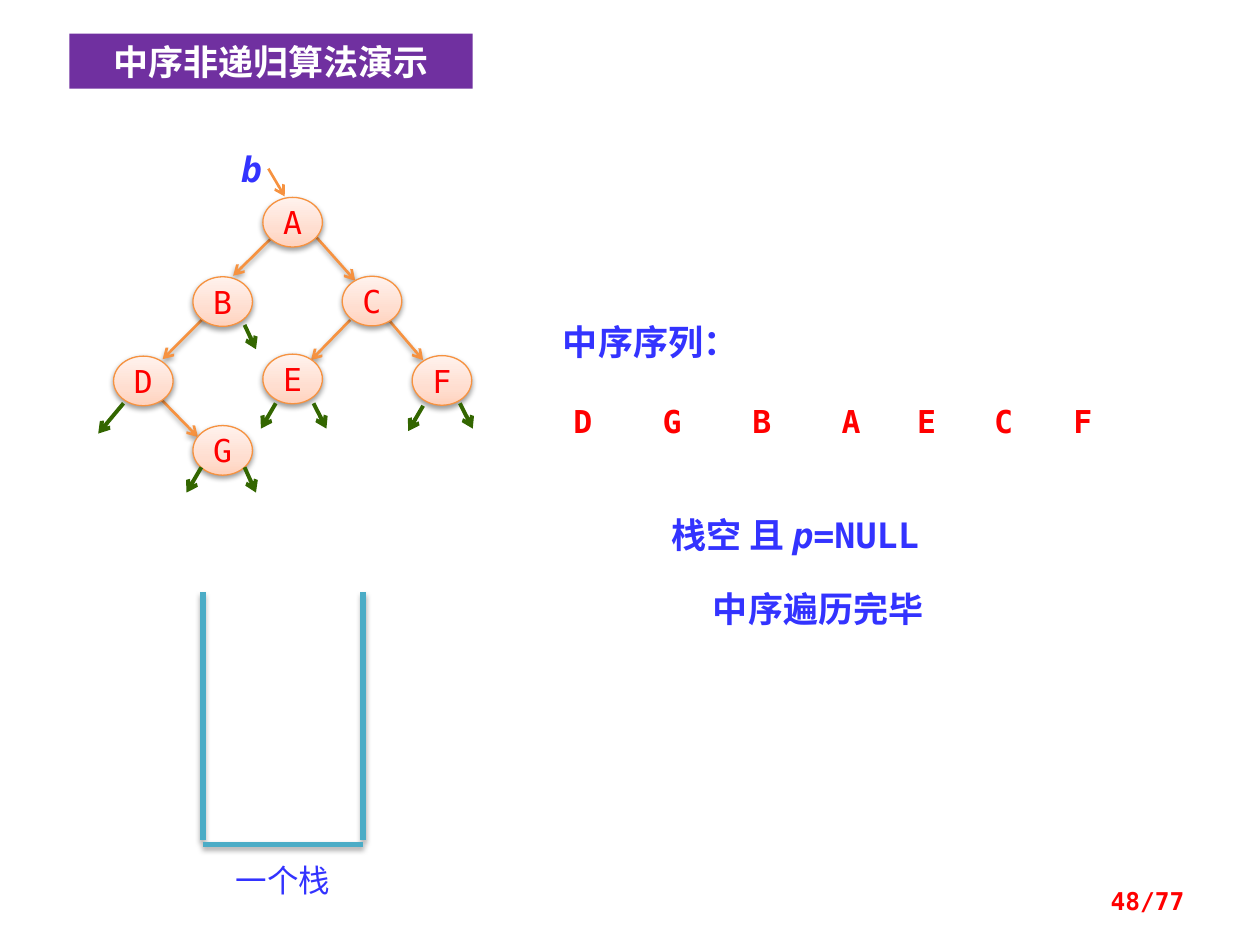
"""Builds the slide that shows the end of a non-recursive in-order traversal."""
from dataclasses import dataclass

from lxml import etree
from pptx import Presentation
from pptx.dml.color import RGBColor
from pptx.enum.shapes import MSO_CONNECTOR, MSO_SHAPE
from pptx.enum.text import MSO_ANCHOR, PP_ALIGN
from pptx.oxml.ns import qn
from pptx.util import Cm, Pt

STRAIGHT = MSO_CONNECTOR.STRAIGHT
OVAL = MSO_SHAPE.OVAL
MIDDLE = MSO_ANCHOR.MIDDLE
LEFT, CENTER, RIGHT = PP_ALIGN.LEFT, PP_ALIGN.CENTER, PP_ALIGN.RIGHT
TITLE_ONLY = 5


@dataclass(frozen=True)
class Theme:
    mono: str = "DejaVu Sans Mono"
    chinese: str = "Noto Sans CJK SC"
    banner: str = "7030A0"
    white: str = "FFFFFF"
    blue: str = "3333FF"
    red: str = "FF0000"
    orange: str = "F69240"
    green: str = "336600"
    teal: str = "4BACC6"
    node_stops: tuple = ((0, "FFD2BD"), (35, "FFDED0"), (100, "FFF2ED"))
    heading: int = 20
    label: int = 18
    page_number: int = 14


class SlideBuilder:
    def __init__(self, slide, theme):
        self.slide = slide
        self.theme = theme

    def fill_text(self, shape, runs, size, color, align=LEFT, bold=False, inset=None, wrap=True):
        frame = shape.text_frame
        frame.word_wrap = wrap
        frame.vertical_anchor = MIDDLE
        if inset is not None:
            frame.margin_left = frame.margin_right = Cm(inset)
            frame.margin_top = frame.margin_bottom = Cm(inset)
        para = frame.paragraphs[0]
        para.alignment = align
        for text, italic in runs:
            span = para.add_run()
            span.text = text
            font = span.font
            font.name = self.theme.mono
            font.size = Pt(size)
            font.bold = bold
            font.italic = italic
            font.color.rgb = RGBColor.from_string(color)
            east_asian = etree.Element(qn("a:ea"), typeface=self.theme.chinese)
            span._r.rPr.find(qn("a:latin")).addnext(east_asian)

    def title(self, text, left, top, width, height):
        box = self.slide.shapes.title
        box.left, box.top, box.width, box.height = Cm(left), Cm(top), Cm(width), Cm(height)
        box.fill.solid()
        box.fill.fore_color.rgb = RGBColor.from_string(self.theme.banner)
        self.fill_text(box, [(text, False)], self.theme.heading, self.theme.white, CENTER, True)

    def text(self, runs, left, top, width, height, size, color, **style):
        box = self.slide.shapes.add_textbox(Cm(left), Cm(top), Cm(width), Cm(height))
        self.fill_text(box, runs, size, color, **style)

    def shadow(self, effects, opacity, distance):
        outer = etree.SubElement(effects, qn("a:outerShdw"), blurRad=str(Pt(3.1)),
                                 dist=str(Pt(distance)), dir="5400000", rotWithShape="0")
        black = etree.SubElement(outer, qn("a:srgbClr"), val="000000")
        etree.SubElement(black, qn("a:alpha"), val=str(opacity * 1000))

    def line(self, start, end, color, width, arrow=True, shadow=None):
        line = self.slide.shapes.add_connector(STRAIGHT, *map(Cm, start + end))
        line.line.color.rgb = RGBColor.from_string(color)
        line.line.width = Pt(width)
        properties = line._element.spPr
        if arrow:
            etree.SubElement(properties.find(qn("a:ln")), qn("a:tailEnd"), type="arrow")
        effects = etree.SubElement(properties, qn("a:effectLst"))
        if shadow:
            self.shadow(effects, *shadow)

    def node(self, letter, left, top):
        node = self.slide.shapes.add_shape(OVAL, Cm(left), Cm(top), Cm(1.2), Cm(1))
        node.fill.gradient()
        node.fill.gradient_angle = 90
        properties = node._element.spPr
        stops = properties.find(qn("a:gradFill")).find(qn("a:gsLst"))
        stops.clear()
        for position, color in self.theme.node_stops:
            stop = etree.SubElement(stops, qn("a:gs"), pos=str(position * 1000))
            etree.SubElement(stop, qn("a:srgbClr"), val=color)
        node.line.color.rgb = RGBColor.from_string(self.theme.orange)
        node.line.width = Pt(0.75)
        node.shadow.inherit = False
        self.shadow(properties.find(qn("a:effectLst")), 38, 1.6)
        self.fill_text(node, [(letter, False)], self.theme.label, self.theme.red, CENTER,
                       wrap=False)


NODES = {"A": (5.3, 3.98), "B": (3.89, 5.58), "C": (6.9, 5.57), "D": (2.29, 7.18),
         "E": (5.3, 7.14), "F": (8.31, 7.17), "G": (3.89, 8.58)}
EDGES = [((5.49, 4.78), (4.7, 5.56)), ((6.35, 4.75), (7.16, 5.66)),
         ((4.17, 6.35), (3.28, 7.24)), ((7.06, 6.45), (6.27, 7.26)),
         ((7.75, 6.35), (8.53, 7.26)), ((3.2, 8), (3.99, 8.81))]
NULL_LINKS = [((4.93, 6.55), (5.16, 7.04)), ((2.49, 8.13), (1.98, 8.74)),
              ((5.56, 8.13), (5.26, 8.64)), ((6.32, 8.13), (6.58, 8.64)),
              ((8.53, 8.18), (8.23, 8.69)), ((9.27, 8.13), (9.53, 8.64)),
              ((4.06, 9.42), (3.76, 9.93)), ((4.93, 9.42), (5.16, 9.93))]
STACK_WALLS = [((4.09, 11.94), (4.09, 16.94)), ((7.32, 11.94), (7.32, 16.94)),
               ((4.09, 17.02), (7.32, 17.02))]
SEQUENCE = zip("DGBAECF", (11.15, 12.95, 14.76, 16.56, 18.08, 19.63, 21.23))


def main():
    theme = Theme()
    deck = Presentation()
    deck.slide_width, deck.slide_height = Cm(25.4), Cm(19.05)
    page = SlideBuilder(deck.slides.add_slide(deck.slide_layouts[TITLE_ONLY]), theme)
    page.title("中序非递归算法演示", 1.4, 0.68, 8.13, 1.11)

    for start, end in EDGES:
        page.line(start, end, theme.orange, 1.5, shadow=(38, 1.6))
    for letter, (left, top) in NODES.items():
        page.node(letter, left, top)
    for start, end in NULL_LINKS:
        page.line(start, end, theme.green, 2.25)
    page.line((5.41, 3.4), (5.74, 3.96), theme.orange, 1.5)
    page.text([("b", True)], 4.57, 2.97, 1, 0.86, theme.heading, theme.blue,
              align=CENTER, bold=True, inset=0)

    for start, end in STACK_WALLS:
        page.line(start, end, theme.teal, 3, arrow=False, shadow=(35, 1.8))
    page.text([("一个栈", False)], 4.5, 17.22, 2.64, 1.02, theme.label, theme.blue)

    heading = {"size": theme.heading, "color": theme.blue, "bold": True}
    page.text([("中序序列：", False)], 11.1, 6.32, 4.8, 1.12, **heading)
    for letter, left in SEQUENCE:
        page.text([(letter, False)], left, 8.1, 1.2, 0.76, theme.label, theme.red,
                  align=CENTER, bold=True, inset=0)
    page.text([("栈空 且 ", False), ("p", True), ("=NULL", False)],
              13.28, 10.21, 6.35, 1.12, **heading)
    page.text([("中序遍历完毕", False)], 12.7, 11.71, 7.59, 1.12, align=CENTER, **heading)
    page.text([("48/77", False)], 18.21, 17.65, 5.92, 1.02, theme.page_number, theme.red,
              align=RIGHT, bold=True)
    deck.save("out.pptx")


if __name__ == "__main__":
    main()
